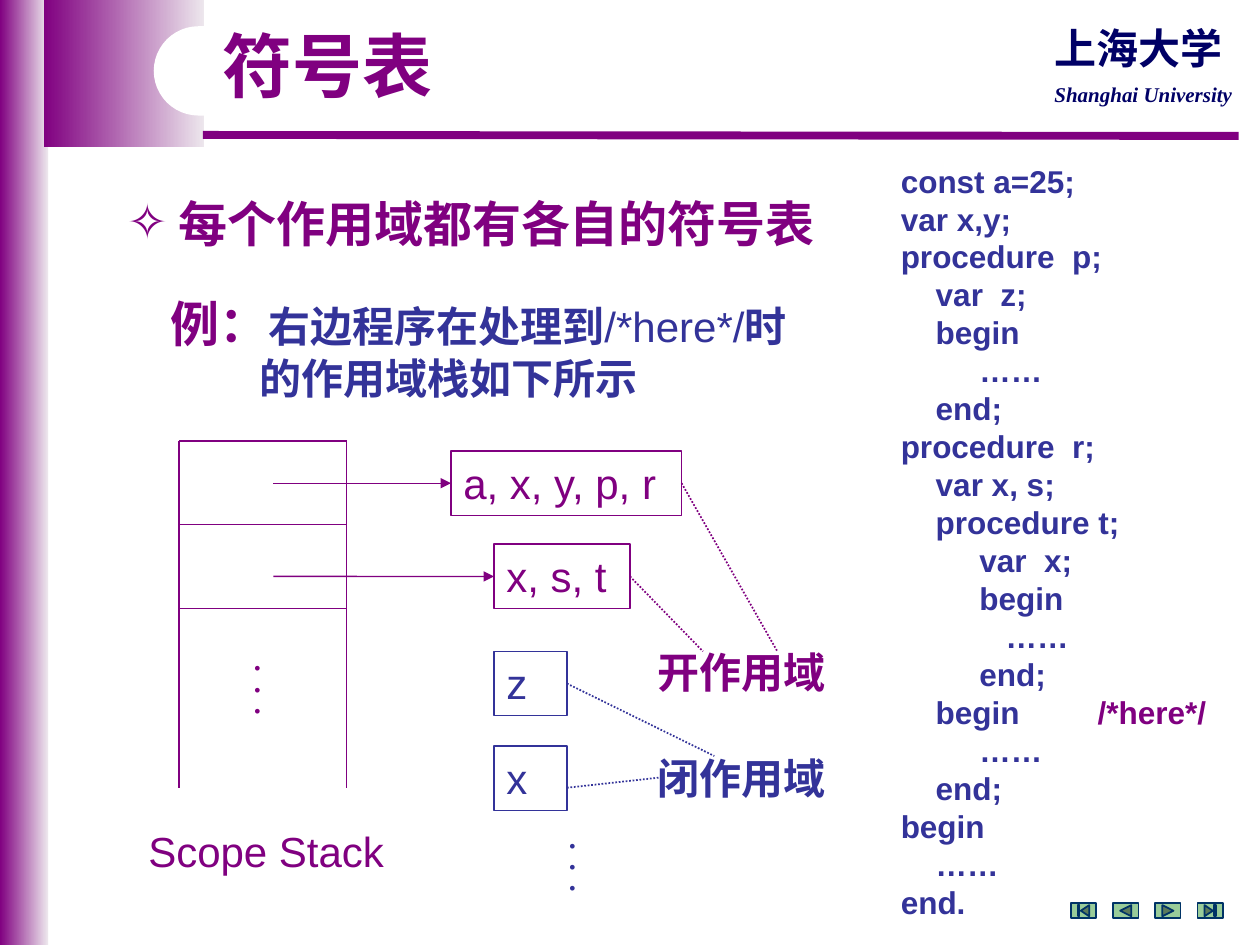
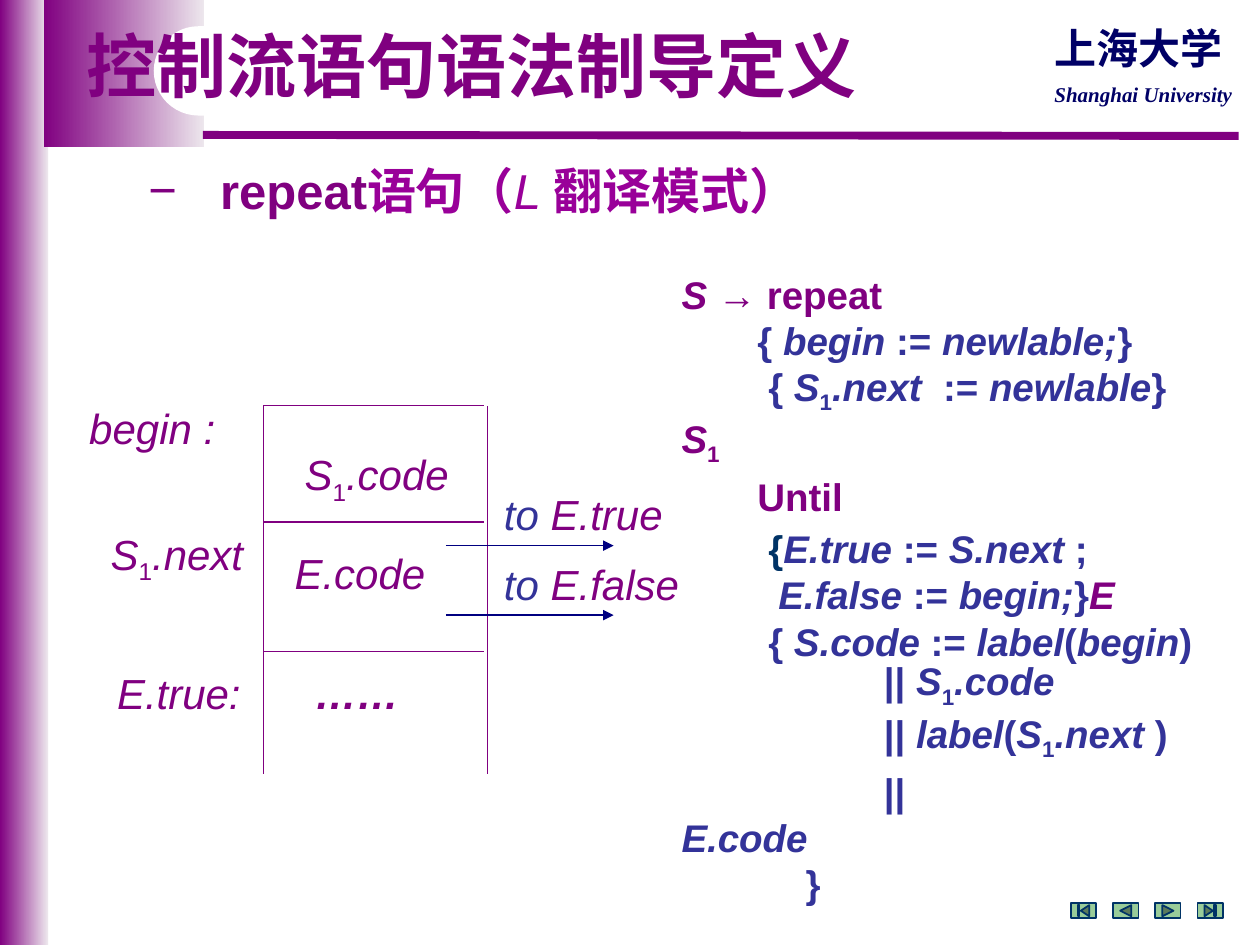
import pptx
import pptx.dml.color
import pptx.enum.dml
import pptx.enum.shapes
import pptx.enum.text
import pptx.oxml.ns
import pptx.util
from lxml import etree

Cm, Pt = pptx.util.Cm, pptx.util.Pt
MSO = pptx.enum.shapes.MSO_SHAPE
qn = pptx.oxml.ns.qn

PURPLE, BLUE, NAVY, ARROW = "800080", "333399", "000066", "000080"
VIOLET, TEAL, GREEN, PALE, WHITE = "990099", "003366", "99CC99", "EDE7ED", "FFFFFF"
LATIN, CJK, SERIF = "Arial", "Noto Sans CJK SC", "Times New Roman"


def rgb(color):
    return pptx.dml.color.RGBColor.from_string(color)


def para(*runs, **layout):
    """A paragraph: runs are strings or (text, flags, color, size)."""
    return runs, layout


class Deck:
    def __init__(self):
        self.prs = pptx.Presentation()
        self.prs.slide_width, self.prs.slide_height = Cm(25.4), Cm(19.05)
        self.s = None

    def add_slide(self):
        self.s = self.prs.slides.add_slide(self.prs.slide_layouts[6])
        # Gradient bands with the white notch, and the rule under the title
        self.band(0, 0, 0.97, 19.05)
        self.band(0.89, 0, 3.23, 2.97)
        self.line(4.09, 2.72, 24.97, 2.74, PURPLE, 4.5)
        notch = self.shape(MSO.ROUNDED_RECTANGLE, 3.1, 0.53, 9.19, 1.8, fill=WHITE)
        notch.adjustments[0] = 0.5
        # University name
        center = pptx.enum.text.PP_ALIGN.CENTER
        self.text(20.98, 1.52, 4.14, 0.76, [para("Shanghai University", align=center)],
                  12, NAVY, "bi", SERIF, wrap=False)
        self.text(20.98, 0.33, 3.94, 1.27, [para("上海大学", align=center)],
                  24, NAVY, "b", CJK, wrap=False)
        # Navigation buttons
        buttons = (MSO.ACTION_BUTTON_BEGINNING, MSO.ACTION_BUTTON_BACK_OR_PREVIOUS,
                   MSO.ACTION_BUTTON_FORWARD_OR_NEXT, MSO.ACTION_BUTTON_END)
        for i, button in enumerate(buttons):
            self.shape(button, 21.59 + 0.85 * i, 18.21, 0.51, 0.3, GREEN, TEAL, 1)

    def shape(self, kind, x, y, w, h, fill=None, color=None, weight=0.75):
        sp = self.s.shapes.add_shape(kind, Cm(x), Cm(y), Cm(w), Cm(h))
        sp.shadow.inherit = False
        if fill:
            sp.fill.solid()
            sp.fill.fore_color.rgb = rgb(fill)
        else:
            sp.fill.background()
        if color:
            sp.line.color.rgb = rgb(color)
            sp.line.width = Pt(weight)
        else:
            sp.line.fill.background()
        return sp

    def band(self, x, y, w, h):
        sp = self.shape(MSO.RECTANGLE, x, y, w, h)
        sp.fill.gradient()
        sp.fill.gradient_angle = 0
        for stop, color, position in zip(sp.fill.gradient_stops, (PURPLE, PALE), (0, 1)):
            stop.color.rgb = rgb(color)
            stop.position = position

    def line(self, x1, y1, x2, y2, color=PURPLE, weight=0.75, dotted=False,
             arrow=False, begin=None, end=None):
        """begin and end are (shape, side) pairs to join."""
        cn = self.s.shapes.add_connector(pptx.enum.shapes.MSO_CONNECTOR.STRAIGHT,
                                         Cm(x1), Cm(y1), Cm(x2), Cm(y2))
        cn.line.color.rgb = rgb(color)
        cn.line.width = Pt(weight)
        if dotted:
            cn.line.dash_style = pptx.enum.dml.MSO_LINE.ROUND_DOT
        if arrow:
            ln = cn._element.spPr.find(qn("a:ln"))
            etree.SubElement(ln, qn("a:tailEnd"), type="triangle")
        etree.SubElement(cn._element.spPr, qn("a:effectLst"))
        if begin:
            cn.begin_connect(*begin)
        if end:
            cn.end_connect(*end)

    def text(self, x, y, w, h, paras, size=24, color=PURPLE, flags="",
             font=LATIN, wrap=True):
        sp = self.s.shapes.add_textbox(Cm(x), Cm(y), Cm(w), Cm(h))
        self.fill_frame(sp.text_frame, paras, size, color, flags, font, wrap)

    def label(self, x, y, w, *runs, color=PURPLE, flags=""):
        self.text(x, y, w, 1.27, [para(*runs)], 24, color, flags, wrap=False)

    def title(self, x, w, words):
        self.text(x, 0.53, w, 1.8, [para(words, spacing=0.9)], 40, flags="b", font=CJK)

    def box(self, x, y, w, words, color):
        sp = self.shape(MSO.RECTANGLE, x, y, w, 1.3, color=color)
        self.fill_frame(sp.text_frame, [para(words)], 24, color)
        return sp

    def fill_frame(self, tf, paras, size, color, flags="", font=LATIN, wrap=True):
        tf.word_wrap = wrap
        tf.vertical_anchor = pptx.enum.text.MSO_ANCHOR.TOP
        for i, (runs, layout) in enumerate(paras):
            p = tf.paragraphs[0] if i == 0 else tf.add_paragraph()
            self.lay_out(p, **layout)
            for run in runs:
                run = (run,) if isinstance(run, str) else run
                defaults = (None, flags, color, size)
                self.run(p, *run, *defaults[len(run):], font)

    def lay_out(self, p, align=pptx.enum.text.PP_ALIGN.LEFT, spacing=None, before=None,
                indent=0, bullet=None, tab=None):
        p.alignment = align
        if spacing:
            p.line_spacing = spacing
        if before:
            p.space_before = Pt(before)
        pPr = p._p.get_or_add_pPr()
        if indent:
            pPr.set("marL", str(Cm(indent)))
        if bullet:
            pPr.set("indent", str(-Cm(indent)))
            clr = etree.SubElement(pPr, qn("a:buClr"))
            etree.SubElement(clr, qn("a:srgbClr"), val=PURPLE)
            etree.SubElement(pPr, qn("a:buFont"), typeface=LATIN)
            etree.SubElement(pPr, qn("a:buChar"), char=bullet)
        if tab:
            tabs = etree.SubElement(pPr, qn("a:tabLst"))
            etree.SubElement(tabs, qn("a:tab"), pos=str(Cm(tab)), algn="l")

    def run(self, p, words, flags, color, size, font):
        """Flags: b bold, i italic, s subscript."""
        r = p.add_run()
        r.text = words
        r.font.size = Pt(size)
        r.font.bold, r.font.italic = "b" in flags, "i" in flags
        r.font.color.rgb = rgb(color)
        r.font.name = font
        rPr = r._r.get_or_add_rPr()
        etree.SubElement(rPr, qn("a:ea"), typeface=CJK)
        if "s" in flags:
            rPr.set("baseline", "-25000")


PROGRAM = """const a=25;
var x,y;
procedure  p;
    var  z;
    begin
         ……
    end;
procedure  r;
    var x, s;
    procedure t;
         var  x;
         begin
            ……
         end;
    begin\t/*here*/
         ……
    end;
begin
    ……
end.""".split("\n")


def symbol_table(d):
    d.add_slide()
    d.title(4.24, 5.08, "符号表")

    # Program on the right
    lines = []
    for i, row in enumerate(PROGRAM):
        code, tab, remark = row.partition("\t")
        runs = [code + tab] + ([(remark, "b", PURPLE)] if remark else [])
        lines.append(para(*runs, spacing=0.8, before=4.4 if i else None,
                          tab=3.97 if tab else None))
    d.text(17.91, 3.28, 7.21, 15.37, lines, 18, BLUE, "b")

    # Statement and example
    d.text(2.31, 3.78, 14.83, 1.45,
           [para("每个作用域都有各自的符号表", bullet="✧", indent=1.04)], 28, flags="b")
    d.text(2.29, 5.79, 14.63, 2.46, [
        para(("例：", "b", PURPLE, 28), "右边程序在处理到", ("/*here*/", ""), "时", indent=0.9),
        para("的作用域栈如下所示", indent=2.69)], 24, BLUE, "b")

    # Scope stack
    left, right, top, bottom = 3.61, 6.99, 8.89, 15.88
    for x in (left, right):
        d.line(x, top, x, bottom)
    for i in range(3):
        y = top + 1.69 * i
        d.line(left, y, right, y)
    d.label(2.74, 16.51, 5.26, "Scope Stack")
    for x, y, color in ((4.88, 13.13, PURPLE), (11.23, 16.71, BLUE)):
        d.text(x, y, 0.64, 1.52, [para("•••")], 10, color)

    # Symbol tables, joined to the kind of scope they belong to
    global_box = d.box(9.09, 9.09, 4.65, "a, x, y, p, r", PURPLE)
    r_box = d.box(9.96, 10.97, 2.74, "x, s, t", PURPLE)
    p_box = d.box(9.96, 13.13, 1.47, "z", BLUE)
    d.box(9.96, 15.04, 1.47, "x", BLUE)
    d.label(13, 12.9, 3.91, "开作用域", flags="b")
    d.label(13, 15.04, 3.91, "闭作用域", color=BLUE, flags="b")
    for sp, y in ((global_box, 9.74), (r_box, 11.62)):
        d.line(5.51, y, 9, y, arrow=True, end=(sp, 1))
    for sp, x, y, color in ((global_box, 15.67, 13.13, PURPLE), (r_box, 14.17, 13.13, PURPLE),
                            (p_box, 14.4, 15.24, BLUE)):
        d.line(11, y, x, y, color, 1, dotted=True, begin=(sp, 3))
    d.line(11.43, 15.88, 13.34, 15.67, BLUE, 1, dotted=True)


def repeat_statement(d):
    d.add_slide()
    d.title(1.5, 18.01, "控制流语句语法制导定义")
    d.text(2.74, 3.12, 19.15, 1.45, [
        para("repeat", ("语句（", "b", VIOLET), ("L ", "i", VIOLET), ("翻译模式）", "b", VIOLET),
             bullet="−", indent=1.45)], 28, flags="b")

    # Code layout frame
    left, right, top = 5.31, 9.83, 8.18
    for x in (left, right):
        d.line(x, top, x, 15.6)
    for y in (top, 10.52, 13.13):
        d.line(left, y, 9.75, y)

    # Labels and code parts
    one = ("1", "s")
    d.label(1.55, 7.98, 3.07, "begin :", flags="i")
    d.label(1.98, 10.52, 3.25, "S", one, ".next", flags="i")
    d.label(2.11, 13.34, 3.02, "E.true:", flags="i")
    d.label(5.89, 8.92, 3.45, "S", one, ".code", flags="i")
    d.label(5.69, 10.92, 3.15, "E.code", flags="i")
    d.label(6.1, 13.34, 2.21, "……", flags="bi")

    # Jumps
    for target, y, w in (("E.true", 9.73, 3.71), ("E.false", 11.13, 4.04)):
        d.label(9.91, y, w, ("to ", "i", BLUE), target, flags="i")
        d.line(8.99, y + 1.27, 12.37, y + 1.27, ARROW, arrow=True)

    # Translation scheme: (indent, space before, runs)
    sub = ("1", "bs")
    assign = (":= ", "b")
    close = ("}", "b")
    wide = 3.4
    scheme = [
        (0, 0, [("S ", "bi", PURPLE), ("→ repeat", "b", PURPLE)]),
        (1.53, 0, [("{ ", "b"), "begin ", assign, "newlable;", close]),
        (1.75, wide, [("{ ", "b"), "S", sub, ".next  ", assign, "newlable", close]),
        (0, wide, [("S", "bi", PURPLE), ("1", "bs", PURPLE)]),
        (1.53, wide, [("Until", "b", PURPLE)]),
        (1.75, wide, [("{", "b", TEAL), "E.true ", assign, "S.next", (" ;", "b")]),
        (1.95, 0, ["E.false ", assign, "begin;", close, ("E", "bi", PURPLE)]),
        (1.75, 0, [("{ ", "b"), "S.code ", assign, "label", ("(", "b"), "begin", (")", "b")]),
        (4.08, 0, [("|| ", "b"), "S", sub, ".code"]),
        (4.08, wide, [("|| ", "b"), "label", ("(", "b"), "S", sub, ".next ", (")", "b")]),
        (4.08, wide, [("||", "b")]),
        (0, 0, ["E.code"]),
        (2.5, 0, [close]),
    ]
    d.text(13.49, 5.33, 11.51, 10.59,
           [para(*runs, indent=indent, before=before, spacing=Pt(26.4))
            for indent, before, runs in scheme], 22, BLUE, "bi")


def main():
    d = Deck()
    symbol_table(d)
    repeat_statement(d)
    d.prs.save("out.pptx")


if __name__ == "__main__":
    main()
